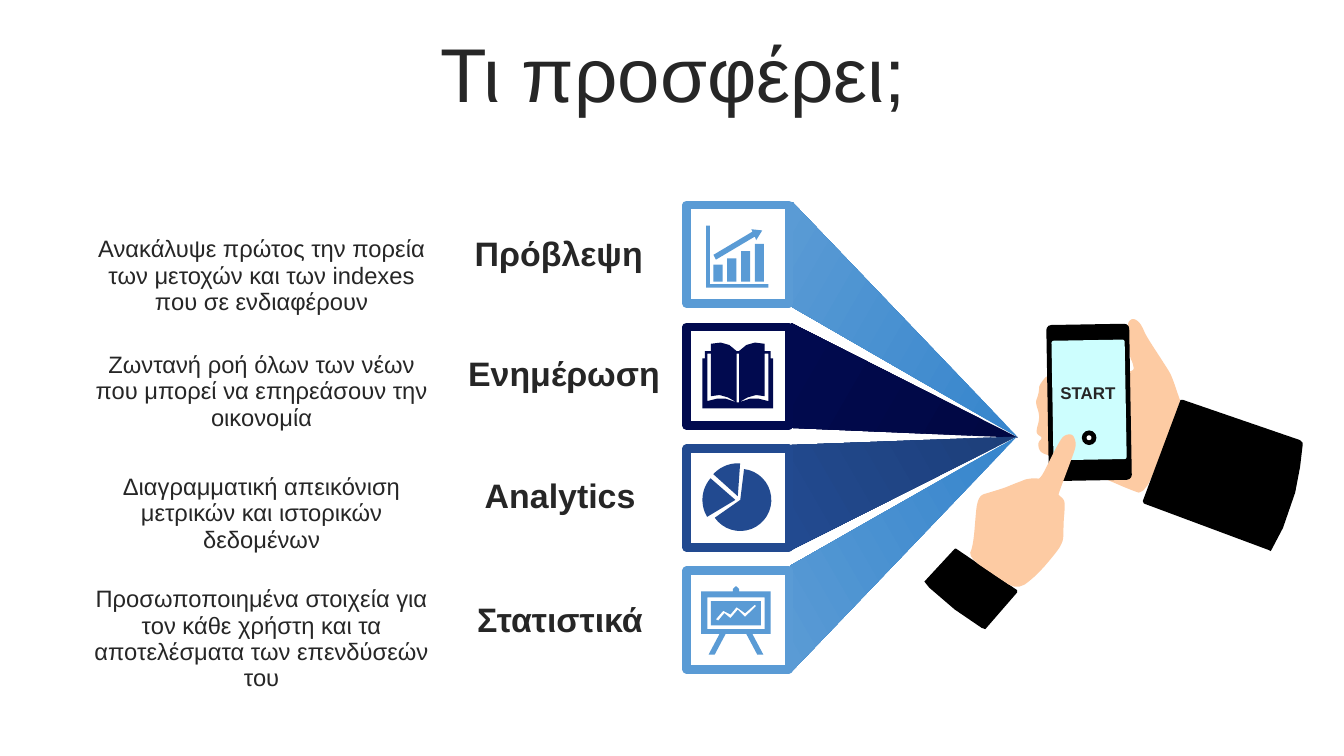
from math import cos, radians, sin

from pptx import Presentation
from pptx.dml.color import RGBColor
from pptx.enum.shapes import MSO_SHAPE
from pptx.enum.text import MSO_ANCHOR, PP_ALIGN
from pptx.util import Pt

PX = 9144  # 100 px to the inch
COLOURS = {
    "text": "262626", "white": "FFFFFF", "black": "000000",
    "sky": "5A9BD5", "sky_deep": "3685CC",
    "navy": "010A4F", "navy_deep": "010843",
    "royal": "224A90", "royal_deep": "1D3F7A",
    "skin": "FDCBA3", "screen": "CDFEFE",
}

# Label, label left and top, description, its top and height, colour
OFFERS = [
    ("Πρόβλεψη", 343, 189, "Ανακάλυψε πρώτος την πορεία των μετοχών και των indexes "
     "που σε ενδιαφέρουν", 189, 76, "sky"),
    ("Ενημέρωση", 357, 287, "Ζωντανή ροή όλων των νέων που μπορεί να επηρεάσουν "
     "την οικονομία", 284, 76, "navy"),
    ("Analytics", 337, 387, "Διαγραμματική απεικόνιση μετρικών και ιστορικών "
     "δεδομένων", 384, 76, "royal"),
    ("Στατιστικά", 343, 489, "Προσωποποιημένα στοιχεία για τον κάθε χρήστη και τα "
     "αποτελέσματα των επενδύσεών του", 476, 98, "sky"),
]

# Colour, gradient angle and corners of each ray, from back to front
RAYS = [
    ("navy", 150, [(649, 265), (835, 359), (649, 351)]),
    ("sky", 150, [(650, 166), (835, 359), (648, 251)]),
    ("royal", 210, [(649, 451), (834, 358), (649, 365)]),
    ("sky", 210, [(649, 551), (834, 358), (648, 464)]),
]

HOLDING_HAND = [
    (852, 345), (852, 339), (849, 330), (851, 325), (852, 320), (852, 316), (860, 306),
    (885, 302), (917, 304), (930, 305), (929, 298), (926, 292), (925, 268), (925, 264),
    (929, 261), (934, 264), (937, 269), (940, 276), (957, 302), (961, 309), (967, 327),
    (968, 329), (955, 364), (939, 406), (925, 401), (909, 394), (862, 374), (855, 372),
    (852, 369), (851, 363), (855, 359), (850, 356), (850, 352)]
HOLDING_SLEEVE = [
    (968, 328), (970, 328), (1066, 361), (1068, 363), (1068, 366), (1066, 383),
    (1062, 404), (1052, 433), (1042, 452), (1040, 451), (938, 413), (937, 411)]
POINTING_SLEEVE = [
    (783, 450), (784, 450), (834, 484), (834, 486), (808, 516), (805, 515),
    (783, 500), (762, 482), (758, 477)]
POINTING_HAND = [
    (794, 457), (816, 472), (834, 484), (850, 472), (867, 452), (871, 445), (872, 440),
    (872, 429), (873, 418), (873, 410), (868, 406), (868, 405), (872, 394), (878, 378),
    (882, 367), (882, 362), (880, 357), (877, 356), (873, 357), (870, 360), (864, 371),
    (861, 377), (853, 393), (849, 392), (841, 393), (839, 394), (831, 397), (824, 400),
    (811, 404), (804, 406), (801, 413), (800, 423), (798, 447)]


def colour(name):
    return RGBColor.from_string(COLOURS[name])


def box(left, top, width, height):
    return [length * PX for length in (left, top, width, height)]


def add_text(slide, frame, text, size, bold=False, align=PP_ALIGN.CENTER,
             anchor=MSO_ANCHOR.TOP, spacing=0.93):
    text_frame = slide.shapes.add_textbox(*box(*frame)).text_frame
    text_frame.word_wrap = True
    text_frame.vertical_anchor = anchor
    text_frame.text = text
    paragraph = text_frame.paragraphs[0]
    paragraph.alignment = align
    paragraph.line_spacing = spacing
    font = paragraph.runs[0].font
    font.name, font.size, font.bold = "Arial", Pt(size), bold
    font.color.rgb = colour("text")


def add_preset(slide, kind, frame, fill, rotation=0, rounding=None, line=None):
    shape = slide.shapes.add_shape(kind, *box(*frame))
    shape.shadow.inherit = False
    shape.fill.solid()
    shape.fill.fore_color.rgb = colour(fill)
    shape.rotation = rotation
    if rounding is not None:
        shape.adjustments[0] = rounding
    if line:
        shape.line.color.rgb = colour(line)
        shape.line.width = Pt(5)
    else:
        shape.line.fill.background()


def add_outline(slide, contours, fill):
    """Draw closed contours as one shape; inner contours become holes."""
    contours = [[(x * PX, y * PX) for x, y in contour] for contour in contours]
    builder = slide.shapes.build_freeform(*contours[0][0], scale=1.0)
    for index, contour in enumerate(contours):
        if index:
            builder.move_to(*contour[0])
        builder.add_line_segments(contour[1:], close=True)
    shape = builder.convert_to_shape()
    shape.shadow.inherit = False
    shape.line.fill.background()
    shape.fill.solid()
    shape.fill.fore_color.rgb = colour(fill)
    return shape


def add_ray(slide, name, angle, corners):
    fill = add_outline(slide, [corners], name).fill
    fill.gradient()
    fill.gradient_angle = angle
    for stop, stop_colour in zip(fill.gradient_stops, (name + "_deep", name)):
        stop.color.rgb = colour(stop_colour)


def rounded(points):
    """Cut every corner twice to soften an outline."""
    for _ in range(2):
        points = [(a[0] * (1 - t) + b[0] * t, a[1] * (1 - t) + b[1] * t)
                  for a, b in zip(points, points[1:] + points[:1]) for t in (0.25, 0.75)]
    return points


def rectangle(left, top, right, bottom):
    return [(left, top), (right, top), (right, bottom), (left, bottom)]


def wedge(x, y, radius, start, end):
    angles = [radians(start + (end - start) * step / 24) for step in range(25)]
    return [(x, y)] + [(x + radius * cos(a), y + radius * sin(a)) for a in angles]


def mirrored(points, axis_sum):
    return [(axis_sum - x, y) for x, y in reversed(points)]


def growth_icon():
    bars = [rectangle(585 + 11.3 * index, top, 592.5 + 11.3 * index, 231)
            for index, top in enumerate((217, 212, 206, 200))]
    arrow = [(616, 188), (625, 189), (620, 197), (619, 194), (587, 213), (585, 209), (617, 190)]
    axes = [(579, 185), (582, 185), (582, 233), (630, 233), (630, 236), (579, 236)]
    return bars + [arrow, axes]


def book_icon():
    half = [(605, 335), (576, 335), (576, 294), (578, 294), (578, 288), (583, 288),
            (583, 282), (591, 281), (598, 283), (604, 288)]
    page = [(580, 290), (583, 290), (583, 325), (590, 324), (597, 326), (604, 330),
            (595, 327), (588, 327), (580, 329)]
    return [half + mirrored(half, 1210), page, mirrored(page, 1210),
            rectangle(604, 290, 606, 330)]


def pie_icon():
    return [wedge(607, 410, 25.5, -83, 145), wedge(603, 410, 27, 149, 221),
            wedge(605, 407, 27, 222, 274)]


def board_icon():
    left_half = [(603, 481), (601, 483), (601, 485), (575, 485), (575, 520), (590, 520),
                 (581, 537), (586, 537), (595, 520)]
    trend = [(587, 508), (593, 501), (599, 504), (604, 498), (611, 503), (619, 496),
             (620, 497), (611, 506), (605, 500), (599, 507), (594, 503), (589, 509)]
    return [left_half + mirrored(left_half, 1207), rectangle(580, 490, 627, 516),
            rectangle(583, 493, 624, 513), trend]


def add_phone_and_hands(slide):
    add_outline(slide, [rounded(HOLDING_HAND)], "skin")
    for frame, fill, rounding in (((859, 266, 68, 128), "black", 0.06),
                                  ((863, 279, 60, 98), "screen", 0.03)):
        add_preset(slide, MSO_SHAPE.ROUNDED_RECTANGLE, frame, fill, -1, rounding)
    add_outline(slide, [HOLDING_SLEEVE], "black")
    add_outline(slide, [POINTING_SLEEVE], "black")
    add_outline(slide, [rounded(POINTING_HAND)], "skin")
    add_preset(slide, MSO_SHAPE.OVAL, (887, 353, 12, 12), "black")
    add_preset(slide, MSO_SHAPE.OVAL, (891, 357, 4, 4), "white")
    add_text(slide, (852, 310, 80, 26), "START", 10, True, anchor=MSO_ANCHOR.MIDDLE)


def main():
    presentation = Presentation()
    presentation.slide_width, presentation.slide_height = 1102 * PX, 620 * PX
    slide = presentation.slides.add_slide(presentation.slide_layouts[6])

    # Title
    add_text(slide, (29, 31, 1046, 65), "Τι προσφέρει;", 45,
             anchor=MSO_ANCHOR.MIDDLE, spacing=0.9)

    # Rays that meet at the phone
    for name, angle, corners in RAYS:
        add_ray(slide, name, angle, corners)

    add_phone_and_hands(slide)

    # Framed icons with labels and descriptions
    icons = (growth_icon, book_icon, pie_icon, board_icon)
    for row, (offer, icon) in enumerate(zip(OFFERS, icons)):
        label, left, label_top, description, top, height, name = offer
        add_preset(slide, MSO_SHAPE.RECTANGLE, (563, 168 + 100 * row, 84, 81), "white", line=name)
        add_outline(slide, icon(), name)
        add_text(slide, (left, label_top, 194, 41), label, 20, True, PP_ALIGN.RIGHT)
        add_text(slide, (64, top, 301, height), description, 14)

    presentation.save("out.pptx")


if __name__ == "__main__":
    main()
